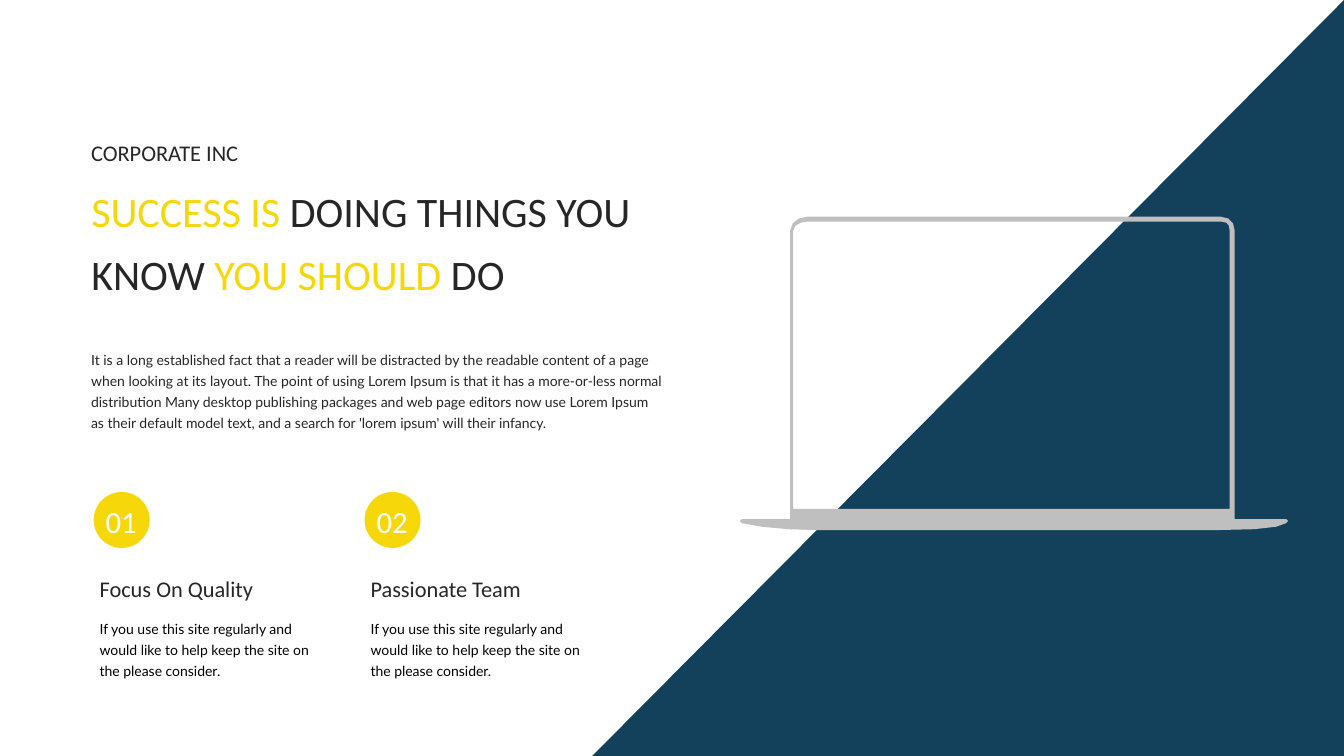
from pptx import Presentation
from pptx.dml.color import RGBColor
from pptx.enum.shapes import MSO_SHAPE as Shape
from pptx.enum.text import MSO_ANCHOR as Anchor, MSO_AUTO_SIZE as AutoSize, PP_ALIGN as Align
from pptx.util import Pt

NAVY = RGBColor(0x13, 0x41, 0x5C)
YELLOW = RGBColor(0xF6, 0xD8, 0x0A)
DARK = RGBColor(0x26, 0x26, 0x26)
BLACK = RGBColor(0, 0, 0)
WHITE = RGBColor(0xFF, 0xFF, 0xFF)
SILVER = RGBColor(0xBF, 0xBF, 0xBF)

SLIDE_W, SLIDE_H = 960, 540

KICKER = "CORPORATE INC"
HEADLINE = [
    ("SUCCESS IS ", YELLOW),
    ("DOING THINGS YOU KNOW ", DARK),
    ("YOU SHOULD ", YELLOW),
    ("DO", DARK),
]
INTRO = [
    "It is a long established fact that a reader will be distracted by the readable content "
    "of a page when looking at its layout. The point of using Lorem Ipsum is that it has a "
    "more-or-less normal distribution Many desktop publishing packages and web page editors "
    "now use Lorem Ipsum",
    "as their default model text, and a search for 'lorem ipsum' will their infancy.",
]
FEATURE_TEXT = ("If you use this site regularly and would like to help keep the site on "
                "the please consider.")
FEATURES = [
    ("01", "Focus On Quality", FEATURE_TEXT),
    ("02", "Passionate Team", FEATURE_TEXT),
]

# Outlines in points: a pair is a corner, three pairs are a Bezier curve (two handles, end).
LAPTOP_FRAME = [
    (918.7, 370.8), (882, 370.8), (882, 164.9),
    ((882, 159.1), (878.4, 154.8), (871.9, 154.8)),
    (576.7, 154.8),
    ((570.2, 154.8), (564.5, 159.1), (564.5, 164.9)),
    (564.5, 370.8), (529.9, 370.8), (528.5, 372.2), (529.9, 373.7),
    (918.7, 373.7), (920.2, 372.2),
]
LAPTOP_SCREEN = [
    (566.6, 164.9),
    ((566.6, 160.6), (572.4, 158.4), (576, 158.4)),
    (872.6, 158.4),
    ((877, 158.4), (878.4, 160.6), (878.4, 164.9)),
    (878.4, 363.6), (566.6, 363.6),
]
LAPTOP_BASE = [
    (918.7, 373.7), (529.9, 373.7),
    ((540.7, 376.6), (562.3, 378.7), (585.4, 378.7)),
    (868.3, 378.7),
    ((902.9, 378.7), (915.1, 376.6), (918.7, 373.7)),
]
CURVE_STEPS = 3


def paint(shape, color):
    shape.shadow.inherit = False
    shape.fill.solid()
    shape.fill.fore_color.rgb = color
    shape.line.fill.background()


def flatten(outline):
    """Turn corners and Bezier curves into one list of EMU points."""
    points = []
    for step in outline:
        if len(step) == 2:
            points.append(step)
            continue
        start, (first, second, end) = points[-1], step
        for index in range(1, CURVE_STEPS + 1):
            t = index / CURVE_STEPS
            u = 1 - t
            points.append(tuple(
                u**3 * a + 3 * u * u * t * b + 3 * u * t * t * c + t**3 * d
                for a, b, c, d in zip(start, first, second, end)))
    return [(Pt(x), Pt(y)) for x, y in points]


def draw_outlines(page, outlines, color):
    first, *holes = [flatten(outline) for outline in outlines]
    builder = page.shapes.build_freeform(*first[0])
    builder.add_line_segments(first[1:])
    for hole in holes:
        builder.move_to(*hole[0])
        builder.add_line_segments(hole[1:])
    paint(builder.convert_to_shape(), color)


def write(box, paragraphs, font, size, spacing, align=Align.LEFT):
    """Fill a box with paragraphs, each a list of (text, color) runs."""
    frame = box.text_frame
    frame.word_wrap = True
    frame.auto_size = AutoSize.SHAPE_TO_FIT_TEXT
    frame.vertical_anchor = Anchor.TOP
    for index, runs in enumerate(paragraphs):
        para = frame.add_paragraph() if index else frame.paragraphs[0]
        para.alignment = align
        para.line_spacing = Pt(spacing)
        for text, color in runs:
            span = para.add_run()
            span.text = text
            span.font.name = font
            span.font.size = Pt(size)
            span.font.color.rgb = color


def add_text(page, area, paragraphs, *style):
    box = page.shapes.add_textbox(*map(Pt, area))
    write(box, paragraphs, *style)


def add_corner_triangle(page):
    width, height = SLIDE_H, 537
    left = SLIDE_W - (height + width) / 2
    top = (SLIDE_H - height) / 2
    triangle = page.shapes.add_shape(
        Shape.RIGHT_TRIANGLE, Pt(left), Pt(top), Pt(width), Pt(height))
    triangle.rotation = 270
    paint(triangle, NAVY)


def add_feature(page, left, number, heading, text):
    circle = page.shapes.add_shape(
        Shape.OVAL, Pt(left + 2.8), Pt(351.4), Pt(40), Pt(40))
    paint(circle, YELLOW)
    add_text(page, (left, 360, 45, 30.2), [[(number, WHITE)]], "Calibri", 22, 22, Align.CENTER)
    add_text(page, (left, 408.6, 153.4, 25.9), [[(heading, DARK)]], "Calibri", 16, 18)
    add_text(page, (left, 436.7, 176.4, 51.1), [[(text, BLACK)]], "Lato", 10, 15)


def main():
    deck = Presentation()
    deck.slide_width, deck.slide_height = Pt(SLIDE_W), Pt(SLIDE_H)
    page = deck.slides.add_slide(deck.slide_layouts.get_by_name("Title Only"))

    add_corner_triangle(page)

    margin = 58
    title = page.shapes.title
    title.left, title.top, title.width, title.height = map(Pt, (margin, 120.2, 482, 95.8))
    write(title, [HEADLINE], "Calibri", 30, 45)
    add_text(page, (margin, 95, 149.8, 27.4), [[(KICKER, DARK)]], "Calibri", 16, 20)
    add_text(page, (margin, 244.8, 429.8, 66.2),
             [[(text, DARK)] for text in INTRO], "Lato", 10, 15)

    draw_outlines(page, [LAPTOP_FRAME, LAPTOP_SCREEN], SILVER)
    draw_outlines(page, [LAPTOP_BASE], SILVER)

    for index, feature in enumerate(FEATURES):
        add_feature(page, 64.1 + index * 193.5, *feature)

    deck.save("out.pptx")


if __name__ == "__main__":
    main()
